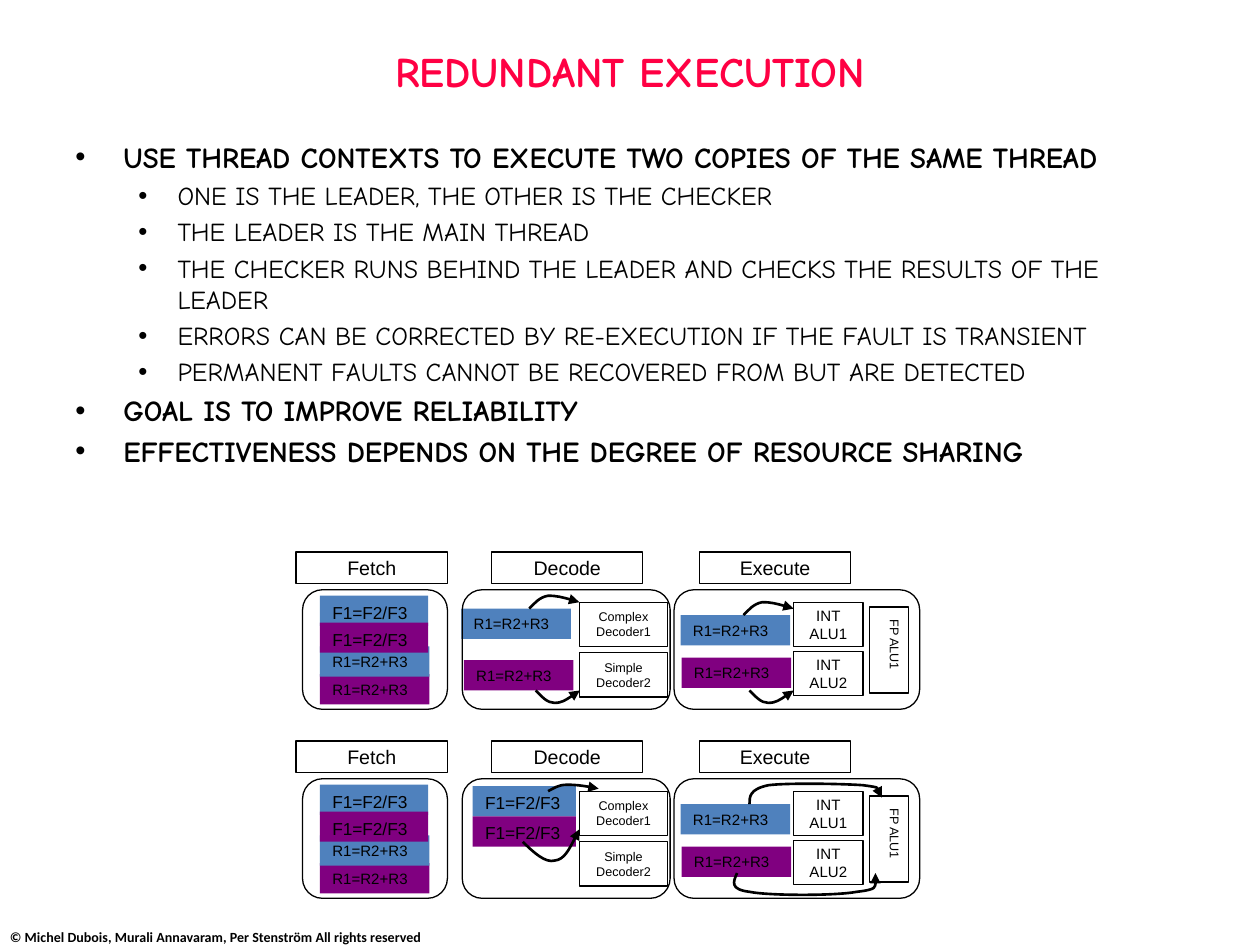
"""Build the slide on redundant execution with its two pipeline diagrams."""
import pptx
import pptx.dml.color
import pptx.enum.shapes
import pptx.enum.text
import pptx.oxml
import pptx.oxml.ns
import pptx.util

Cm = pptx.util.Cm
Pt = pptx.util.Pt
RGBColor = pptx.dml.color.RGBColor
MSO_SHAPE = pptx.enum.shapes.MSO_SHAPE
ANCHOR = pptx.enum.text.MSO_ANCHOR
ALIGN = pptx.enum.text.PP_ALIGN

BLACK = RGBColor(0x00, 0x00, 0x00)
RED = RGBColor(0xFF, 0x00, 0x43)
BLUE = RGBColor(0x4F, 0x81, 0xBD)
PURPLE = RGBColor(0x80, 0x00, 0x80)

ROW_STEP = 3.81
INTEGER, FLOAT = ("R1=R2+R3", 8.6), ("F1=F2/F3", 9.9)

BULLETS = [
    (0, "USE THREAD CONTEXTS TO EXECUTE TWO COPIES OF THE SAME THREAD"),
    (1, "ONE IS THE LEADER, THE OTHER IS THE CHECKER"),
    (1, "THE LEADER IS THE MAIN THREAD"),
    (1, "THE CHECKER RUNS BEHIND THE LEADER AND CHECKS THE RESULTS OF THE LEADER"),
    (1, "ERRORS CAN BE CORRECTED BY RE-EXECUTION IF THE FAULT IS TRANSIENT"),
    (1, "PERMANENT FAULTS CANNOT BE RECOVERED FROM BUT ARE DETECTED"),
    (0, "GOAL IS TO IMPROVE RELIABILITY"),
    (0, "EFFECTIVENESS DEPENDS ON THE DEGREE OF RESOURCE SHARING"),
]
BULLET_LEVELS = [
    {"size": 16.6, "bold": True, "margin": 0.97, "hanging": 0.97},
    {"size": 14.8, "bold": False, "margin": 2.06, "hanging": 0.79},
]

STAGES = [("Fetch", 5.97, 6.1, 2.92), ("Decode", 9.91, 9.32, 4.19), ("Execute", 14.1, 13.59, 4.95)]
UNITS = [
    ("Complex\nDecoder1", 11.68, 12.14, 1.78, 7.2),
    ("Simple\nDecoder2", 11.68, 13.16, 1.78, 7.2),
    ("INT\nALU1", 16, 12.14, 1.4, 8.6),
    ("INT\nALU2", 16, 13.13, 1.4, 8.6),
]
SHARED_INSTRUCTIONS = [
    (INTEGER, PURPLE, 6.45, 13.59, 2.21),
    (INTEGER, BLUE, 6.45, 13.03, 2.21),
    (FLOAT, BLUE, 6.45, 12.01, 2.18),
    (FLOAT, PURPLE, 6.45, 12.55, 2.18),
    (INTEGER, BLUE, 13.72, 12.4, 2.21),
    (INTEGER, PURPLE, 13.74, 13.26, 2.21),
]
INTEGER_DECODE = [(INTEGER, BLUE, 9.3, 12.27, 2.21), (INTEGER, PURPLE, 9.35, 13.31, 2.21)]
FLOAT_DECODE = [(FLOAT, BLUE, 9.53, 12.04, 2.08), (FLOAT, PURPLE, 9.53, 12.65, 2.08)]

ARC_OVER = [(0.1, -0.1), (0.2, -0.23), (0.38, -0.26), (0.56, -0.26), (0.79, -0.2), (1.01, -0.13)]
ARC_UNDER = [(0.13, 0.13), (0.23, 0.25), (0.38, 0.25), (0.53, 0.25), (0.71, 0.13), (0.89, 0)]
ARC_FLAT = [(0.1, -0.05), (0.2, -0.13), (0.38, -0.13), (0.56, -0.13), (0.79, -0.1), (1.02, -0.05)]
ARC_DEEP = [(0.23, 0.23), (0.46, 0.43), (0.64, 0.38), (0.84, 0.36), (0.99, 0.05), (1.14, -0.25)]
LOOP_OVER = [(0, -0.15), (0, -0.3), (0.38, -0.38), (0.76, -0.43), (1.9, -0.41),
             (2.29, -0.38), (2.67, -0.33), (2.67, -0.23), (2.67, -0.13)]
LOOP_UNDER = [(-0.08, 0.18), (-0.15, 0.33), (0.25, 0.38), (0.66, 0.46), (1.98, 0.46),
              (2.41, 0.38), (2.84, 0.33), (2.82, 0.18), (2.79, 0)]
INTEGER_ARROWS = [(10.67, 12.27, ARC_OVER), (10.8, 13.92, ARC_UNDER),
                  (14.99, 12.4, ARC_OVER), (15.11, 13.92, ARC_UNDER)]
FLOAT_ARROWS = [(11.05, 12.14, ARC_FLAT), (10.54, 13.16, ARC_DEEP),
                (15.11, 12.4, LOOP_OVER), (14.86, 13.79, LOOP_UNDER)]


def add_child(parent, tag, **attributes):
    """Append a drawing element with the given attributes."""
    child = pptx.oxml.parse_xml(f"<{tag} {pptx.oxml.ns.nsdecls('a')}/>")
    for name, value in attributes.items():
        child.set(name, value)
    parent.append(child)
    return child


def write_text(paragraph, text, size, font="Arial", color=BLACK, bold=False, align=ALIGN.LEFT):
    """Write one formatted run into a paragraph."""
    paragraph.alignment = align
    run = paragraph.add_run()
    run.text = text
    run.font.size = Pt(size)
    run.font.name = font
    run.font.bold = bold
    run.font.color.rgb = color


def add_text_box(slide, left, top, width, height, anchor=ANCHOR.TOP):
    """Add an empty wrapping text box and return its text frame."""
    box = slide.shapes.add_textbox(Cm(left), Cm(top), Cm(width), Cm(height))
    box.text_frame.word_wrap = True
    box.text_frame.vertical_anchor = anchor
    return box.text_frame


def add_box(slide, left, top, width, height, text="", size=8.6, fill=None,
            kind=MSO_SHAPE.RECTANGLE, align=ALIGN.CENTER, anchor=ANCHOR.MIDDLE):
    """Add a filled box without outline, or an outlined box without fill."""
    shape = slide.shapes.add_shape(kind, Cm(left), Cm(top), Cm(width), Cm(height))
    shape.shadow.inherit = False
    if fill is None:
        shape.fill.background()
        shape.line.color.rgb = BLACK
        shape.line.width = Pt(0.75)
    else:
        shape.fill.solid()
        shape.fill.fore_color.rgb = fill
        shape.line.fill.background()
    frame = shape.text_frame
    frame.vertical_anchor = anchor
    for index, line in enumerate(text.split("\n") if text else []):
        paragraph = frame.add_paragraph() if index else frame.paragraphs[0]
        write_text(paragraph, line, size, align=align)
    return shape


def add_curved_arrow(slide, left, top, offsets):
    """Draw an arrow of cubic curves, three offsets from the start to each curve."""
    builder = slide.shapes.build_freeform(Cm(left), Cm(top))
    builder.add_line_segments([(Cm(left + x), Cm(top + y)) for x, y in offsets], close=False)
    shape = builder.convert_to_shape()
    shape.shadow.inherit = False
    shape.fill.background()
    shape.line.color.rgb = BLACK
    shape.line.width = Pt(1.5)
    segments = shape._element.xpath(".//a:lnTo")
    outline = segments[0].getparent()
    for start in range(0, len(segments), 3):
        curve = add_child(outline, "a:cubicBezTo")
        for segment in segments[start:start + 3]:
            curve.append(segment[0])
            outline.remove(segment)
    add_child(shape._element.xpath("./p:spPr/a:ln")[0], "a:tailEnd", type="triangle")


def add_bullets(slide):
    """Add the two-level bullet list."""
    frame = add_text_box(slide, 1.27, 2.69, 22.86, 14.96)
    for index, (level, text) in enumerate(BULLETS):
        style = BULLET_LEVELS[level]
        paragraph = frame.add_paragraph() if index else frame.paragraphs[0]
        paragraph.level = level
        write_text(paragraph, text, style["size"], font="Comic Neue", bold=style["bold"])
        paragraph.space_before = Pt(round(style["size"] * 0.2, 1))
        properties = paragraph._p.get_or_add_pPr()
        properties.set("marL", str(Cm(style["margin"])))
        properties.set("indent", str(-Cm(style["hanging"])))
        add_child(properties, "a:buFont", typeface="Arial")
        add_child(properties, "a:buChar", char="•")


def add_pipeline(slide, shift, decode_instructions, arrows):
    """Draw one pipeline, moved down by the shift."""
    for (text, size), color, left, top, width in SHARED_INSTRUCTIONS + decode_instructions:
        add_box(slide, left, top + shift, width, 0.61, text, size, fill=color,
                align=ALIGN.LEFT, anchor=ANCHOR.TOP)
    for name, label_left, frame_left, frame_width in STAGES:
        add_box(slide, label_left, 11.13 + shift, 3.05, 0.64, name, 11.2)
        add_box(slide, frame_left, 11.89 + shift, frame_width, 2.41, kind=MSO_SHAPE.ROUNDED_RECTANGLE)
    for text, left, top, width, size in UNITS:
        add_box(slide, left, top + shift, width, 0.89, text, size)
    float_unit = add_box(slide, 17.53, 12.24 + shift, 0.79, 1.73, "FP ALU1", 7.2,
                         align=ALIGN.LEFT, anchor=ANCHOR.TOP)
    float_unit._element.xpath(".//a:bodyPr")[0].set("vert", "eaVert")
    for left, top, offsets in arrows:
        add_curved_arrow(slide, left, top + shift, offsets)


def main():
    """Build and save the presentation."""
    presentation = pptx.Presentation()
    presentation.slide_width, presentation.slide_height = Cm(25.4), Cm(19.05)
    slide = presentation.slides.add_slide(presentation.slide_layouts[6])

    rights = add_text_box(slide, 0.2, 18.59, 12.5, 0.46, anchor=ANCHOR.BOTTOM)
    rights.margin_left = rights.margin_bottom = 0
    write_text(rights.paragraphs[0], "© Michel Dubois, Murali Annavaram, Per Stenström All rights reserved",
               8, font="Calibri", bold=True)
    title = add_text_box(slide, 1.27, 0.18, 22.86, 2.51, anchor=ANCHOR.MIDDLE)
    write_text(title.paragraphs[0], "REDUNDANT EXECUTION", 24, font="Comic Neue",
               color=RED, bold=True, align=ALIGN.CENTER)
    add_bullets(slide)
    add_pipeline(slide, 0, INTEGER_DECODE, INTEGER_ARROWS)
    add_pipeline(slide, ROW_STEP, FLOAT_DECODE, FLOAT_ARROWS)
    presentation.save("out.pptx")


if __name__ == "__main__":
    main()
